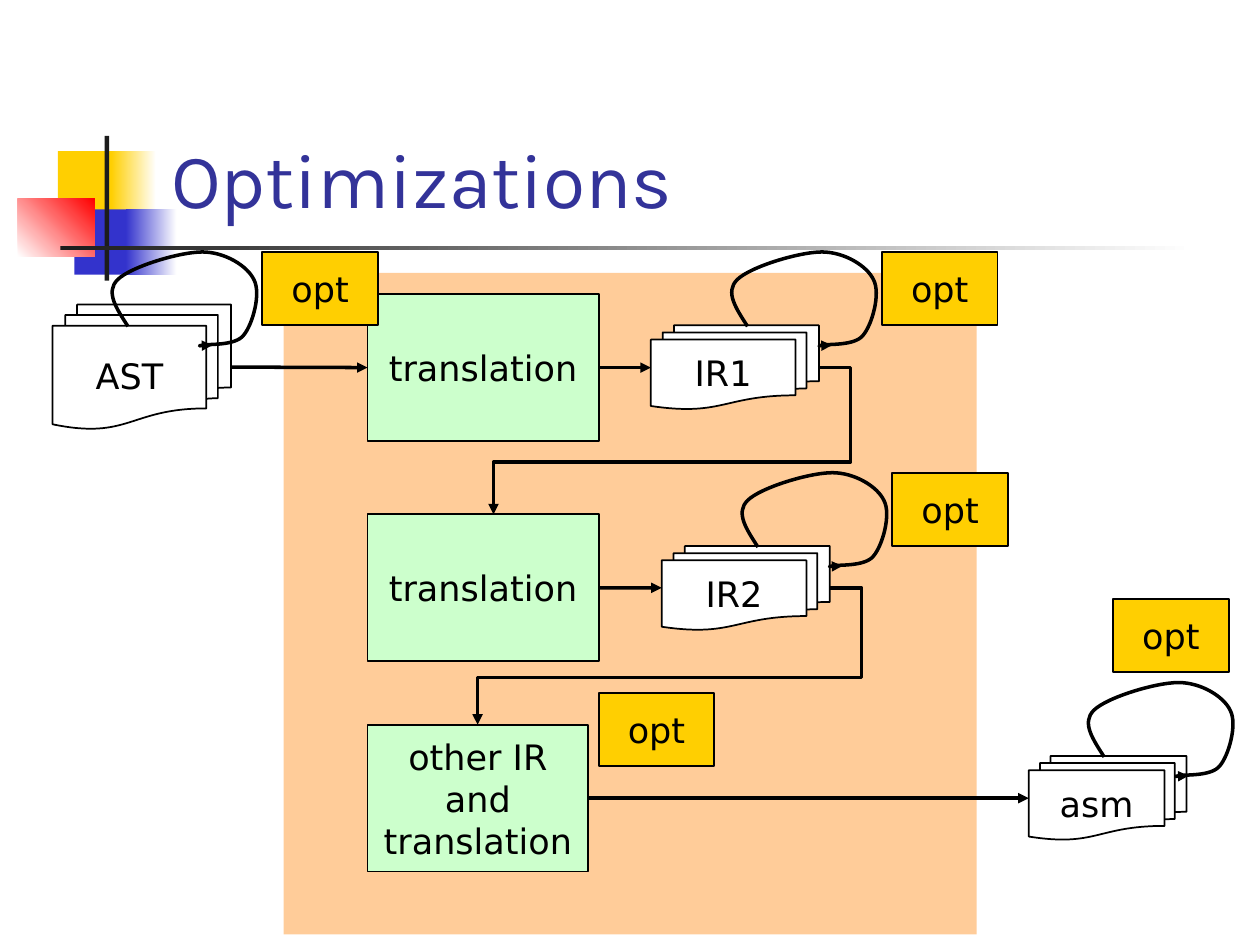
from lxml import etree
from pptx import Presentation
from pptx.dml.color import RGBColor
from pptx.enum.shapes import MSO_CONNECTOR, MSO_SHAPE
from pptx.enum.text import MSO_ANCHOR, PP_ALIGN
from pptx.oxml.ns import qn
from pptx.util import Cm, Pt

RECTANGLE = MSO_SHAPE.RECTANGLE
PROCESS = MSO_SHAPE.FLOWCHART_PROCESS
DOCUMENTS = MSO_SHAPE.FLOWCHART_MULTIDOCUMENT
STRAIGHT, ELBOW = MSO_CONNECTOR.STRAIGHT, MSO_CONNECTOR.ELBOW
MIDDLE, BOTTOM = MSO_ANCHOR.MIDDLE, MSO_ANCHOR.BOTTOM
CENTER, LEFT = PP_ALIGN.CENTER, PP_ALIGN.LEFT
LEFT_SIDE, RIGHT_SIDE = 1, 3

BLACK = RGBColor(0x00, 0x00, 0x00)
WHITE = RGBColor(0xFF, 0xFF, 0xFF)
CHARCOAL = RGBColor(0x1C, 0x1C, 0x1C)
YELLOW = RGBColor(0xFF, 0xCF, 0x01)
BLUE = RGBColor(0x33, 0x33, 0xCC)
NAVY = RGBColor(0x33, 0x33, 0x99)
RED = RGBColor(0xFF, 0x00, 0x00)
PEACH = RGBColor(0xFF, 0xCC, 0x99)
GREEN = RGBColor(0xCC, 0xFF, 0xCC)

LOOP_CURVE = [
    (0.46, 1.5),
    (0.23, 1.14), (0, 0.81), (0.25, 0.56),
    (0.51, 0.3), (1.5, 0), (1.96, 0),
    (2.41, 0), (2.87, 0.28), (3, 0.56),
    (3.15, 0.84), (2.97, 1.47), (2.79, 1.68),
    (2.62, 1.9), (2.06, 1.85), (1.96, 1.88),
    (1.85, 1.9), (2.01, 1.88), (2.16, 1.88),
]


class Diagram:
    """Draws styled elements on one slide, with lengths in centimetres."""

    def __init__(self, slide):
        self.shapes = slide.shapes
        self.font = "DejaVu Sans"
        self.size = 20

    def label(self, frame, text, font, size, color, align, anchor):
        frame.word_wrap = True
        frame.vertical_anchor = anchor
        paragraph = frame.paragraphs[0]
        paragraph.alignment = align
        run = paragraph.add_run()
        run.text = text
        run.font.name = font
        run.font.size = Pt(size)
        run.font.color.rgb = color

    def title(self, text, left, top, width, height):
        box = self.shapes.add_textbox(Cm(left), Cm(top), Cm(width), Cm(height))
        self.label(box.text_frame, text, "Karla", 44, NAVY, LEFT, BOTTOM)

    def block(self, left, top, width, height, fill, end_fill=None, angle=0):
        block = self.shapes.add_shape(RECTANGLE, Cm(left), Cm(top), Cm(width), Cm(height))
        block.shadow.inherit = False
        block.line.fill.background()
        if end_fill is None:
            block.fill.solid()
            block.fill.fore_color.rgb = fill
        else:
            block.fill.gradient()
            block.fill.gradient_angle = angle
            for stop, color in zip(block.fill.gradient_stops, (fill, end_fill)):
                stop.color.rgb = color

    def node(self, kind, text, left, top, width, height, fill=None):
        node = self.shapes.add_shape(kind, Cm(left), Cm(top), Cm(width), Cm(height))
        node.shadow.inherit = False
        if fill is None:
            node.fill.background()
        else:
            node.fill.solid()
            node.fill.fore_color.rgb = fill
        node.line.color.rgb = BLACK
        node.line.width = Pt(1)
        self.label(node.text_frame, text, self.font, self.size, BLACK, CENTER, MIDDLE)
        return node

    def opt(self, left, top):
        self.node(PROCESS, "opt", left, top, 2.33, 1.48, YELLOW)

    def arrow_line(self, line):
        line.color.rgb = BLACK
        line.width = Pt(2)
        etree.SubElement(line._get_or_add_ln(), qn("a:tailEnd"), type="triangle")

    def arrow(self, start, end, source=None, target=None, kind=STRAIGHT):
        arrow = self.shapes.add_connector(kind, *(Cm(value) for value in start + end))
        if source is not None:
            arrow.begin_connect(source, RIGHT_SIDE)
        if target is not None:
            arrow.end_connect(target, LEFT_SIDE)
        self.arrow_line(arrow.line)
        etree.SubElement(arrow._element.spPr, qn("a:effectLst"))
        return arrow

    def bent_arrow(self, start, end, bends):
        arrow = self.arrow(start, end, kind=ELBOW)
        geometry = arrow._element.spPr.find(qn("a:prstGeom"))
        geometry.set("prst", "bentConnector4")
        guides = geometry.find(qn("a:avLst"))
        for number, bend in enumerate(bends, 1):
            etree.SubElement(guides, qn("a:gd"), name=f"adj{number}", fmla=f"val {bend}")

    def loop(self, left, top):
        points = [(Cm(left + x), Cm(top + y)) for x, y in LOOP_CURVE]
        builder = self.shapes.build_freeform(*points[0])
        builder.add_line_segments(points[1:], close=False)
        loop = builder.convert_to_shape()
        loop.shadow.inherit = False
        loop.fill.background()
        self.arrow_line(loop.line)
        outline = loop._element.spPr.find(".//" + qn("a:path"))
        segments = outline.findall(qn("a:lnTo"))
        for first in range(0, len(segments), 3):
            curve = etree.SubElement(outline, qn("a:cubicBezTo"))
            for segment in segments[first:first + 3]:
                curve.append(segment[0])
                outline.remove(segment)


def main():
    deck = Presentation()
    deck.slide_width, deck.slide_height = Cm(25.4), Cm(19.05)
    diagram = Diagram(deck.slides.add_slide(deck.slide_layouts[6]))

    diagram.block(1.17, 3.05, 1.22, 1.32, YELLOW)
    diagram.block(2.24, 3.05, 0.91, 1.32, YELLOW, WHITE)
    diagram.block(1.5, 4.22, 1.17, 1.32, BLUE)
    diagram.block(2.54, 4.22, 1.02, 1.32, BLUE, WHITE)
    diagram.block(0.36, 4.01, 1.55, 1.17, WHITE, RED, 45)
    diagram.block(2.11, 2.74, 0.09, 2.92, CHARCOAL)
    diagram.block(1.22, 4.95, 22.86, 0.09, CHARCOAL, WHITE)
    diagram.title("Optimizations", 3.2, 0.58, 21.64, 4.06)
    diagram.block(5.72, 5.5, 13.97, 13.34, PEACH)

    diagram.node(DOCUMENTS, "AST", 1.06, 6.14, 3.6, 2.51)
    diagram.node(DOCUMENTS, "IR1", 13.12, 6.56, 3.39, 1.69, WHITE)
    diagram.node(DOCUMENTS, "IR2", 13.34, 11.01, 3.39, 1.69, WHITE)
    diagram.node(DOCUMENTS, "asm", 20.74, 15.24, 3.18, 1.69, WHITE)
    to_ir1 = diagram.node(PROCESS, "translation", 7.41, 5.93, 4.66, 2.96, GREEN)
    to_ir2 = diagram.node(PROCESS, "translation", 7.41, 10.37, 4.66, 2.96, GREEN)
    to_asm = diagram.node(PROCESS, "other IR and translation", 7.41, 14.61, 4.45, 2.96, GREEN)

    diagram.arrow((4.66, 7.4), (7.41, 7.41), target=to_ir1)
    diagram.arrow((12.07, 7.41), (13.12, 7.41), source=to_ir1)
    diagram.arrow((12.07, 11.85), (13.34, 11.85), source=to_ir2)
    diagram.arrow((11.86, 16.09), (20.74, 16.09), source=to_asm)
    diagram.bent_arrow((16.51, 7.41), (9.95, 10.37), (-9700, 64300))
    diagram.bent_arrow((16.73, 11.85), (9.63, 14.61), (-9000, 65400))

    for left, top in ((2.12, 5.08), (14.61, 5.08), (14.82, 9.53)):
        diagram.loop(left, top)
        diagram.opt(left + 3.17, top)
    diagram.loop(21.8, 13.76)
    diagram.opt(22.44, 12.07)
    diagram.opt(12.07, 13.97)

    deck.save("out.pptx")


if __name__ == "__main__":
    main()
